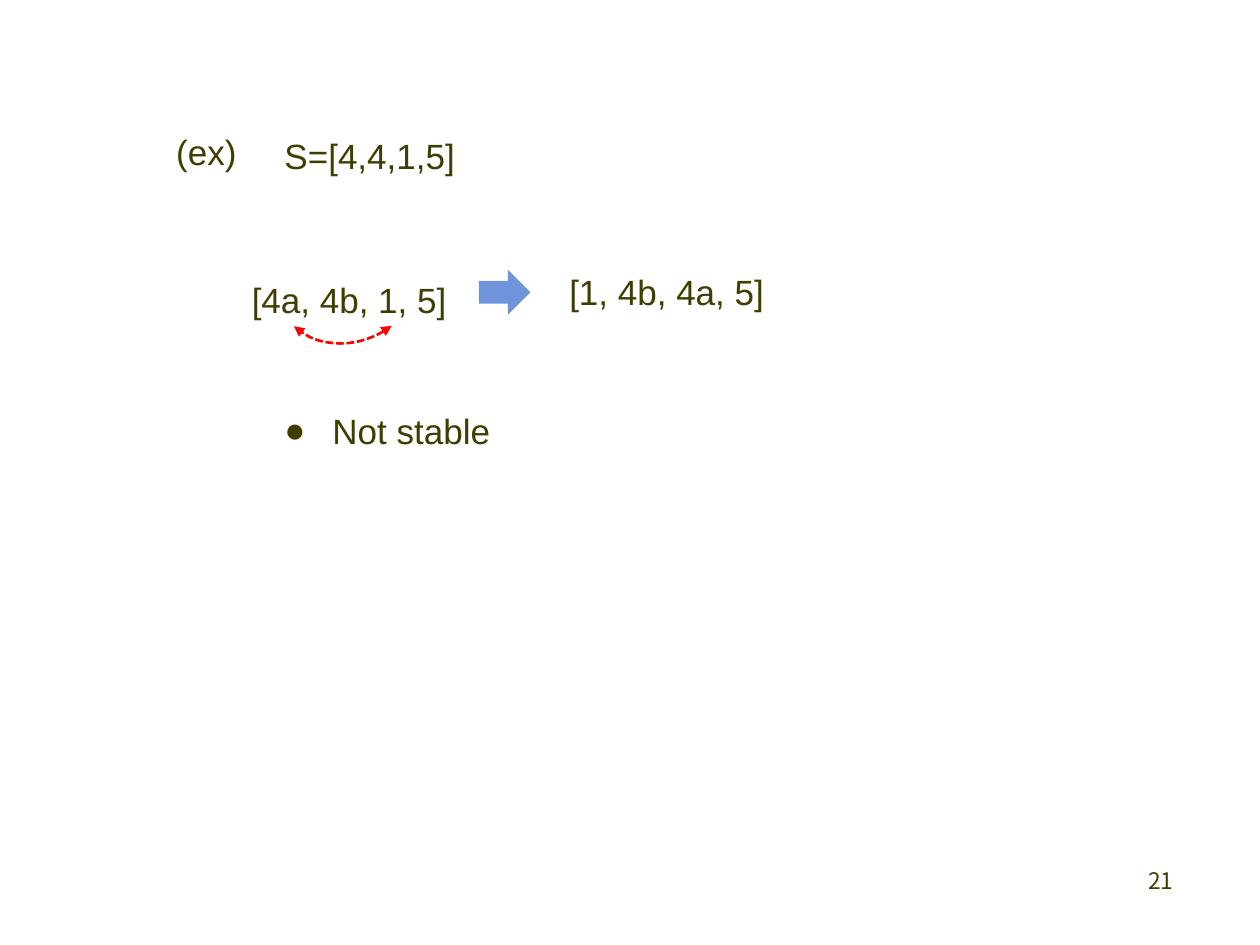
from lxml.etree import SubElement
from pptx import Presentation
from pptx.dml.color import RGBColor
from pptx.enum.dml import MSO_LINE
from pptx.enum.shapes import MSO_SHAPE
from pptx.enum.text import MSO_AUTO_SIZE, PP_ALIGN
from pptx.oxml.ns import qn
from pptx.util import Inches, Pt

WIDE, HIGH = Inches(10), Inches(7.5)
COLS, ROWS = 100, 75
INK, BLUE, RED = "3F3E00", "7094DC", "FF0000"
BODY = {"name": "Arial", "size": Pt(20)}
FOOT = {"name": "Noto Sans CJK KR", "size": Pt(13)}
LABEL = {"word_wrap": False, "auto_size": MSO_AUTO_SIZE.SHAPE_TO_FIT_TEXT}
BLOCK = {"word_wrap": True}
TALL = 4.4


def style(item, form):
    for key, value in form.items():
        setattr(item, key, value)


def color(text):
    return RGBColor.from_string(text)


def place(box, left, top, wide, high):
    return (round(WIDE * (box[0] + left) / COLS),
            round(HIGH * (box[1] + top) / ROWS),
            round(WIDE * wide / COLS), round(HIGH * high / ROWS))


def write(slide, spot, text, font=BODY, frame=LABEL, align=PP_ALIGN.LEFT):
    area = slide.shapes.add_textbox(*spot).text_frame
    style(area, frame)
    para = area.paragraphs[0]
    para.alignment = align
    run = para.add_run()
    run.text = text
    style(run.font, font)
    run.font.color.rgb = color(INK)
    return para


def draw(slide, kind, spot):
    shape = slide.shapes.add_shape(kind, *spot)
    shape.shadow.inherit = False
    return shape


def add_head(slide, box):
    write(slide, place(box, 0, 0, 7.6, TALL), "(ex)")
    write(slide, place(box, 8.6, 0.3, 16.4, TALL), "S=[4,4,1,5]")


def add_swap(slide, box):
    write(slide, place(box, 0, 0.6, 18.3, TALL), "[4a, 4b, 1, 5]")
    arrow = draw(slide, MSO_SHAPE.RIGHT_ARROW, place(box, 19, 0.4, 4.1, 3.6))
    arrow.fill.solid()
    arrow.fill.fore_color.rgb = color(BLUE)
    arrow.line.fill.background()
    write(slide, place(box, 25.2, 0, 18.3, TALL), "[1, 4b, 4a, 5]")
    add_curve(slide, place(box, 2.1, -6, 13.4, 11.8))


def add_curve(slide, spot):
    curve = draw(slide, MSO_SHAPE.ARC, spot)
    curve.rotation = 131.9
    curve.adjustments[0], curve.adjustments[1] = 170.75, 0
    curve.fill.background()
    line = curve.line
    line.color.rgb = color(RED)
    style(line, {"width": Pt(1.5), "dash_style": MSO_LINE.SQUARE_DOT})
    edge = line._get_or_add_ln()
    for end in ("a:headEnd", "a:tailEnd"):
        SubElement(edge, qn(end), type="triangle")


def add_note(slide, box):
    para = write(slide, place(box, 0, 0, 18.4, TALL), "Not stable")
    props = para._p.get_or_add_pPr()
    dent = Inches(0.38)
    props.set("marL", str(dent))
    props.set("indent", str(-dent))
    SubElement(props, qn("a:buFont"), typeface="Arial")
    SubElement(props, qn("a:buChar"), char="●")


def add_foot(slide, box):
    write(slide, place(box, 0, 0, 20.8, 5), "21", FOOT, BLOCK, PP_ALIGN.RIGHT)


def main():
    deck = Presentation()
    style(deck, {"slide_width": WIDE, "slide_height": HIGH})
    slide = deck.slides.add_slide(deck.slide_layouts[6])
    add_foot(slide, (73.3, 68.3))
    add_head(slide, (13, 9.9))
    add_swap(slide, (19, 21))
    add_note(slide, (21.6, 32))
    deck.save("out.pptx")


if __name__ == "__main__":
    main()
